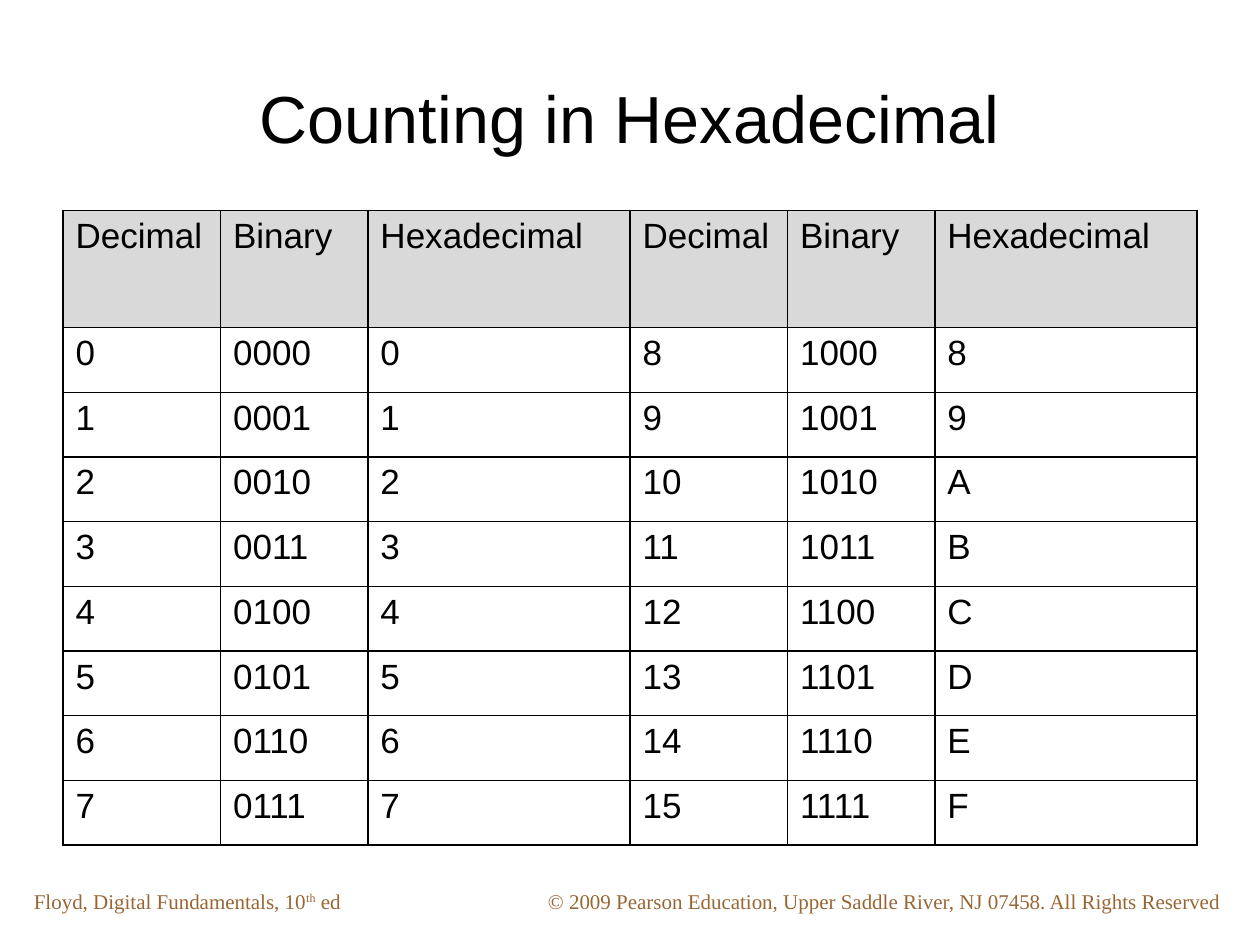
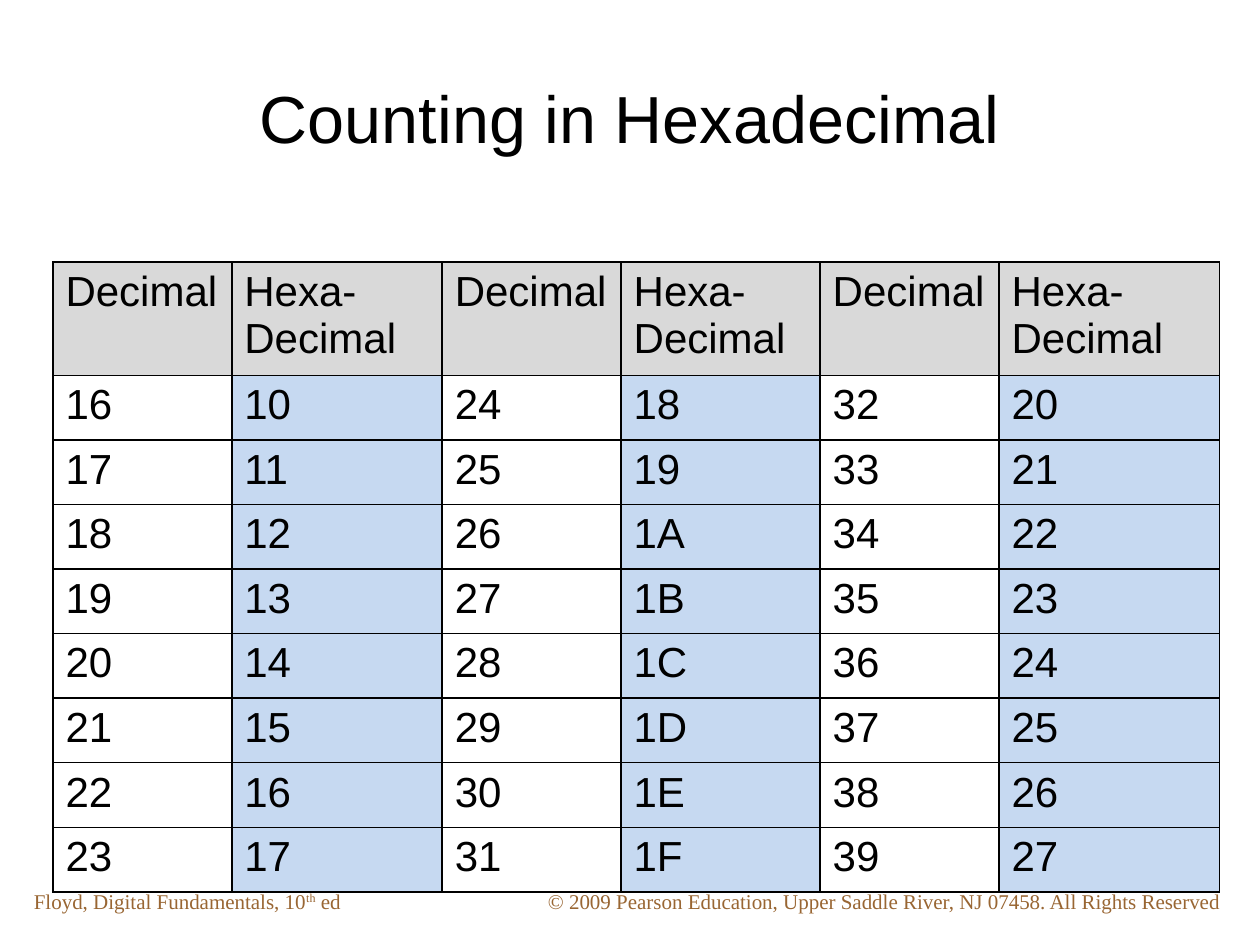
"""Build two slides of hexadecimal counting tables."""
from dataclasses import dataclass
from typing import Optional

from lxml import etree
from pptx import Presentation
from pptx.dml.color import RGBColor
from pptx.enum.text import MSO_ANCHOR, MSO_AUTO_SIZE, PP_ALIGN
from pptx.oxml.ns import qn
from pptx.presentation import Presentation as Deck
from pptx.slide import Slide
from pptx.table import _Cell as Cell
from pptx.text.text import TextFrame, _Paragraph as Paragraph
from pptx.util import Inches, Pt

CENTER, JUSTIFY, LEFT = PP_ALIGN.CENTER, PP_ALIGN.JUSTIFY, PP_ALIGN.LEFT
MIDDLE, TOP = MSO_ANCHOR.MIDDLE, MSO_ANCHOR.TOP
NO_FIT, GROW = MSO_AUTO_SIZE.NONE, MSO_AUTO_SIZE.SHAPE_TO_FIT_TEXT
TITLE_ONLY = 5
ROWS_PER_BLOCK = 8
BORDER_SIDES = ("a:lnL", "a:lnR", "a:lnT", "a:lnB")


@dataclass(frozen=True)
class Theme:
    sans: str = "Arial"
    serif: str = "Times New Roman"
    background: str = "FFFFFF"
    text: str = "000000"
    footer: str = "996633"
    header_fill: str = "D9D9D9"
    hex_fill: str = "C6D9F1"
    title_size: int = 38
    footer_size: int = 12
    border_width: int = 1
    hanging: float = 0.38


@dataclass(frozen=True)
class Style:
    font: str
    size: int
    color: str


@dataclass(frozen=True)
class Footer:
    left: float
    width: float
    runs: tuple[tuple[str, int], ...]


@dataclass(frozen=True)
class Column:
    heading: str
    number_format: str
    fill: Optional[str] = None


@dataclass(frozen=True)
class CountTable:
    left: float
    top: float
    height: float
    header_height: float
    text_size: int
    widths: tuple[float, ...]
    starts: tuple[int, ...]
    columns: tuple[Column, ...]


THEME = Theme()
TITLE = "Counting in Hexadecimal"
FOOTERS = (
    Footer(4.25, 5.58, (("© 2009 Pearson Education, Upper Saddle River, "
                         "NJ 07458. All Rights Reserved", 0),)),
    Footer(0.17, 3.08, (("Floyd, Digital Fundamentals, 10", 0),
                        ("th", 30000), (" ed", 0))),
)
TABLES = (
    CountTable(0.5, 1.67, 5.04, 0.93, 20, (1.25, 1.17, 2.08) * 2, (0, 8),
               (Column("Decimal", "d"), Column("Binary", "04b"),
                Column("Hexadecimal", "X"))),
    CountTable(0.42, 2.08, 5, 0.9, 24, (1.42, 1.67, 1.42, 1.58, 1.42, 1.75),
               (16, 24, 32),
               (Column("Decimal", "d"),
                Column("Hexa-\nDecimal", "X", THEME.hex_fill))),
)


def add_run(p: Paragraph, text: str, style: Style, baseline: int = 0) -> None:
    r = p.add_run()
    r.text = text
    r.font.name = style.font
    r.font.size = Pt(style.size)
    r.font.color.rgb = RGBColor.from_string(style.color)
    if baseline:
        r._r.get_or_add_rPr().set("baseline", str(baseline))


def set_frame(tf: TextFrame, anchor: MSO_ANCHOR, fit: MSO_AUTO_SIZE) -> None:
    tf.word_wrap = True
    tf.auto_size = fit
    tf.vertical_anchor = anchor
    tf.margin_left = tf.margin_right = Inches(0.1)
    tf.margin_top = tf.margin_bottom = Inches(0.05)


def add_footer(slide: Slide, footer: Footer) -> None:
    sp = slide.shapes.add_textbox(Inches(footer.left), Inches(7),
                                  Inches(footer.width), Inches(0.3))
    set_frame(sp.text_frame, TOP, GROW)
    p = sp.text_frame.paragraphs[0]
    p.alignment = LEFT
    style = Style(THEME.serif, THEME.footer_size, THEME.footer)
    for text, baseline in footer.runs:
        add_run(p, text, style, baseline)


def set_title(slide: Slide) -> None:
    sp = slide.shapes.title
    sp.left, sp.top = Inches(0.5), Inches(0.3)
    sp.width, sp.height = Inches(9), Inches(1.25)
    set_frame(sp.text_frame, MIDDLE, NO_FIT)
    p = sp.text_frame.paragraphs[0]
    p.alignment = CENTER
    add_run(p, TITLE, Style(THEME.sans, THEME.title_size, THEME.text))


def add_borders(cell: Cell) -> None:
    tc_pr = cell._tc.get_or_add_tcPr()
    for side in BORDER_SIDES:
        ln = etree.SubElement(tc_pr, qn(side), w=str(Pt(THEME.border_width)))
        fill = etree.SubElement(ln, qn("a:solidFill"))
        etree.SubElement(fill, qn("a:srgbClr"), val=THEME.text)


def fill_cell(cell: Cell, text: str, size: int, fill: Optional[str]) -> None:
    cell.margin_left = cell.margin_right = Inches(0.1)
    cell.margin_top = cell.margin_bottom = Inches(0.05)
    cell.vertical_anchor = TOP
    add_borders(cell)
    if fill:
        cell.fill.solid()
        cell.fill.fore_color.rgb = RGBColor.from_string(fill)
    else:
        cell.fill.background()
    tf = cell.text_frame
    for i, line in enumerate(text.split("\n")):
        p = tf.add_paragraph() if i else tf.paragraphs[0]
        p.alignment = JUSTIFY
        p_pr = p._p.get_or_add_pPr()
        p_pr.set("marL", str(Inches(THEME.hanging)))
        p_pr.set("indent", str(-Inches(THEME.hanging)))
        add_run(p, line, Style(THEME.sans, size, THEME.text))


def add_count_table(slide: Slide, spec: CountTable) -> None:
    frame = slide.shapes.add_table(
        ROWS_PER_BLOCK + 1, len(spec.widths), Inches(spec.left),
        Inches(spec.top), Inches(sum(spec.widths)), Inches(spec.height))
    table = frame.table
    table.first_row = table.horz_banding = False
    for col, width in zip(table.columns, spec.widths):
        col.width = Inches(width)
    row_height = (spec.height - spec.header_height) / ROWS_PER_BLOCK
    for i, row in enumerate(table.rows):
        row.height = Inches(row_height if i else spec.header_height)
    blocks = [(start, column) for start in spec.starts
              for column in spec.columns]
    for c, (start, column) in enumerate(blocks):
        fill_cell(table.cell(0, c), column.heading, spec.text_size,
                  THEME.header_fill)
        for i in range(ROWS_PER_BLOCK):
            fill_cell(table.cell(i + 1, c),
                      format(start + i, column.number_format),
                      spec.text_size, column.fill)


def add_count_slide(prs: Deck, spec: CountTable) -> None:
    slide = prs.slides.add_slide(prs.slide_layouts[TITLE_ONLY])
    slide.background.fill.solid()
    slide.background.fill.fore_color.rgb = RGBColor.from_string(
        THEME.background)
    for footer in FOOTERS:
        add_footer(slide, footer)
    set_title(slide)
    add_count_table(slide, spec)


def main() -> None:
    prs = Presentation()
    prs.slide_width, prs.slide_height = Inches(10), Inches(7.5)
    for spec in TABLES:
        add_count_slide(prs, spec)
    prs.save("out.pptx")


if __name__ == "__main__":
    main()
